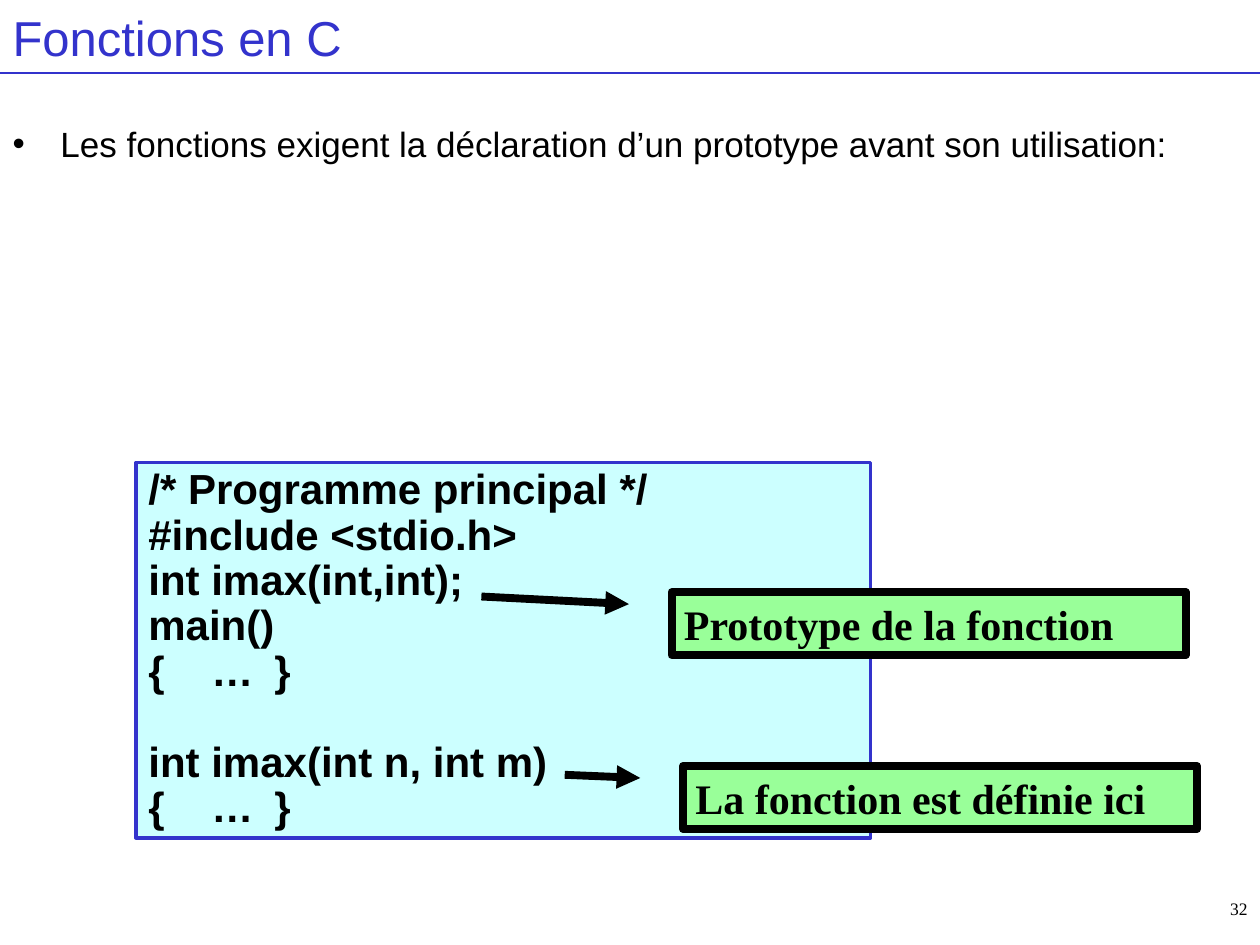
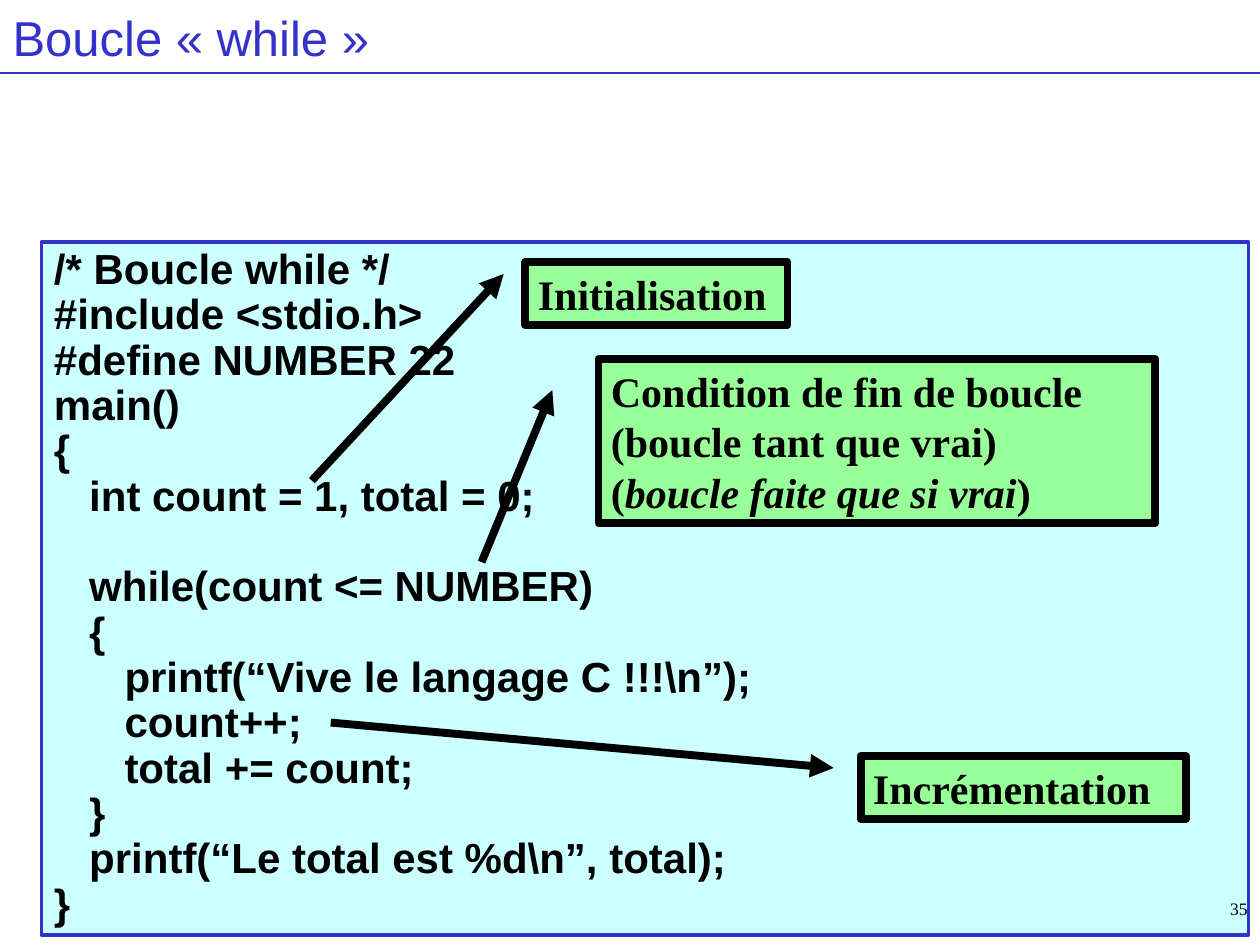
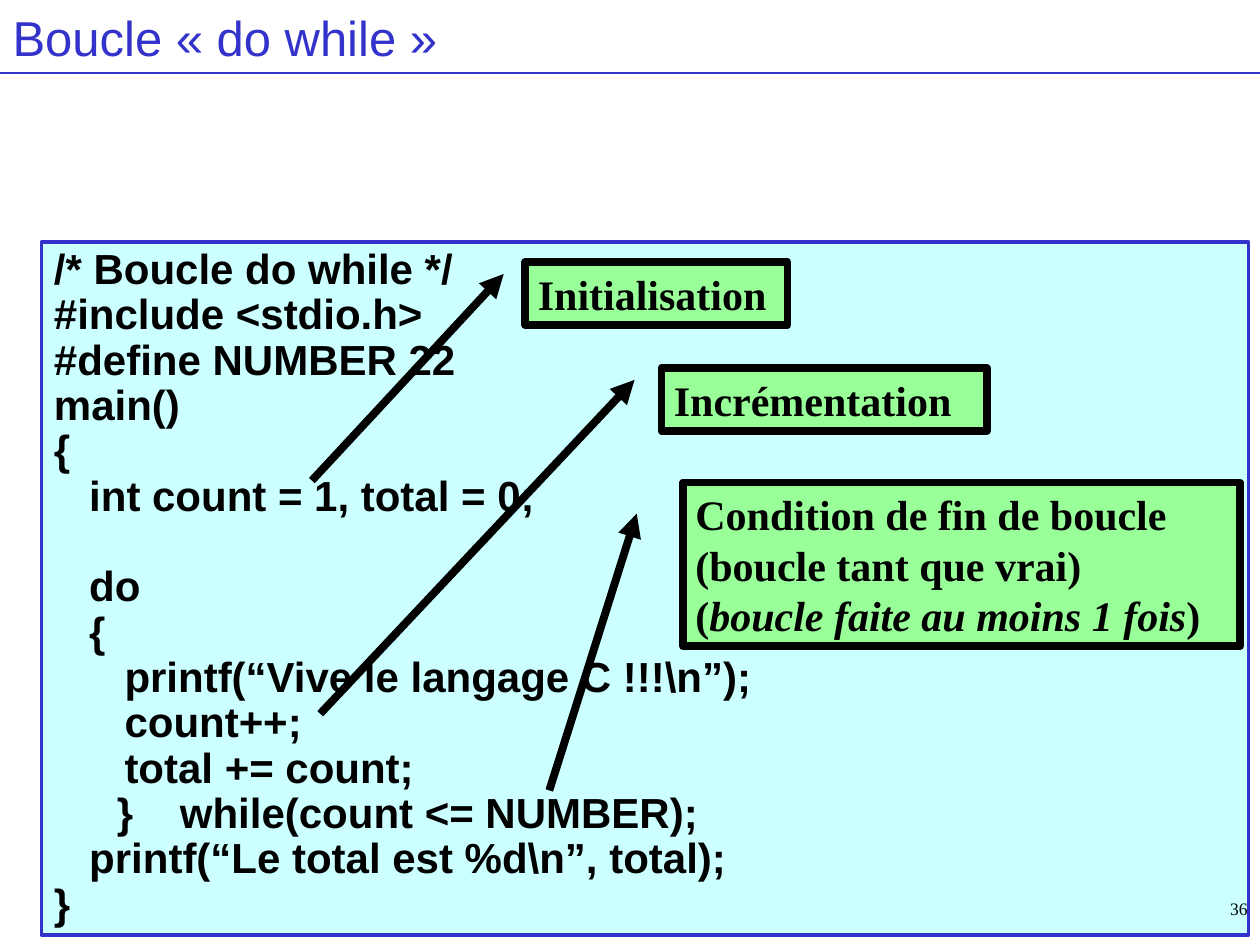
from dataclasses import dataclass

from lxml import etree
from pptx import Presentation
from pptx.dml.color import RGBColor
from pptx.enum.shapes import MSO_CONNECTOR, MSO_SHAPE
from pptx.enum.text import MSO_ANCHOR, MSO_AUTO_SIZE, PP_ALIGN
from pptx.oxml.ns import qn
from pptx.util import Inches, Pt

RECT, CALLOUT = MSO_SHAPE.RECTANGLE, MSO_SHAPE.LINE_CALLOUT_1
STRAIGHT = MSO_CONNECTOR.STRAIGHT
LEFT, RIGHT = PP_ALIGN.LEFT, PP_ALIGN.RIGHT
TOP, MIDDLE = MSO_ANCHOR.TOP, MSO_ANCHOR.MIDDLE
FIXED, GROW = MSO_AUTO_SIZE.NONE, MSO_AUTO_SIZE.SHAPE_TO_FIT_TEXT


@dataclass(frozen=True)
class Theme:
    """Colours, fonts and type sizes of the deck."""
    blue: str = "3333CC"
    cyan: str = "CCFFFF"
    green: str = "99FF99"
    black: str = "000000"
    sans: str = "Arial"
    serif: str = "Times New Roman"
    head: int = 28
    code: int = 24
    body: int = 20
    page: int = 10
    step: float = 0.28
    blank: int = 26


LOOK = Theme()
HEAD = (0, 0, 10, 0.58)
BODY = (0, 0.92, 10, 4.64)
PAGE = (7.92, 7.08, 2.08, 0.42)
PANEL = (0.33, 1.92, 9.58, 5.5)
TAIL = (0.19, -0.083)
BRACES = ("{\t…\t}", 0, (0.43, 1.02))


def inch(box):
    """Turn a box in inches into lengths."""
    return [Inches(side) for side in box]


def color(code):
    """Return the colour of a hex code."""
    return RGBColor.from_string(code)


def write(frame, lines, size, font=LOOK.sans, ink=LOOK.black, bold=False,
          align=LEFT, anchor=TOP, fit=FIXED, space=None):
    """Fill a frame; a line is text or a list whose odd parts are italic."""
    frame.word_wrap = True
    frame.auto_size = fit
    frame.vertical_anchor = anchor
    frame.margin_left = frame.margin_right = Inches(0.1)
    frame.margin_top = frame.margin_bottom = Inches(0.05)
    for num, line in enumerate(lines):
        para = frame.paragraphs[0] if num == 0 else frame.add_paragraph()
        para.alignment = align
        if space:
            para.line_spacing = space
        parts = [line] if isinstance(line, str) else line
        for spot, part in enumerate(parts):
            run = para.add_run()
            run.text = part
            run.font.name = font
            run.font.size = Pt(size)
            run.font.bold = bold
            run.font.italic = spot % 2 == 1
            run.font.color.rgb = color(ink)
    return frame.paragraphs


def place(shape, box):
    """Move a shape into a box."""
    shape.left, shape.top, shape.width, shape.height = inch(box)


def indent(para, left, first=0):
    """Set the left margin and first-line indent of a paragraph."""
    props = para._p.get_or_add_pPr()
    props.set("marL", str(Inches(left)))
    props.set("indent", str(Inches(first)))


def add_tabs(para, stops):
    """Give a paragraph left tab stops."""
    tabs = etree.SubElement(para._p.get_or_add_pPr(), qn("a:tabLst"))
    for stop in stops:
        etree.SubElement(tabs, qn("a:tab"), pos=str(Inches(stop)), algn="l")


def add_box(slide, kind, box, fill, edge, width):
    """Add a filled and outlined shape."""
    shape = slide.shapes.add_shape(kind, *inch(box))
    shape.shadow.inherit = False
    shape.fill.solid()
    shape.fill.fore_color.rgb = color(fill)
    shape.line.color.rgb = color(edge)
    shape.line.width = Pt(width)
    return shape


def add_head(slide, title, box=HEAD):
    """Set the title and the rule under it."""
    place(slide.shapes.title, box)
    write(slide.shapes.title.text_frame, [title], LOOK.head, ink=LOOK.blue,
          anchor=MIDDLE)
    left, top, width, height = box
    base = top + height
    rule = slide.shapes.add_connector(
        STRAIGHT, *inch((left, base, left + width, base)))
    rule.line.color.rgb = color(LOOK.blue)
    rule.line.width = Pt(0.75)
    etree.SubElement(rule._element.spPr, qn("a:effectLst"))


def add_list(slide, lines, box=BODY):
    """Fill the body placeholder with bullets."""
    body = slide.placeholders[1]
    place(body, box)
    for para in write(body.text_frame, lines, LOOK.body):
        para.space_before = Pt(5)
        indent(para, 0.38, -0.38)


def add_code(slide, lines, box):
    """Add a code panel; a line is text, depth and tabs, None is a gap."""
    panel = add_box(slide, RECT, box, LOOK.cyan, LOOK.blue, 2)
    rows = [line for line in lines if line]
    paras = write(panel.text_frame, [row[0] for row in rows], LOOK.code,
                  bold=True, fit=GROW, space=0.9)
    gaps = [num > 0 and lines[num - 1] is None
            for num, line in enumerate(lines) if line]
    for para, (_, depth, stops), gap in zip(paras, rows, gaps):
        indent(para, depth * LOOK.step)
        if gap:
            para.space_before = Pt(LOOK.blank)
        if stops:
            add_tabs(para, stops)


def add_note(slide, lines, box, aim):
    """Add a callout whose line runs from its box to the aim."""
    note = add_box(slide, CALLOUT, box, LOOK.green, LOOK.black, 4.5)
    for num, value in enumerate(TAIL + aim):
        note.adjustments[num] = value
    etree.SubElement(note.line._get_or_add_ln(), qn("a:headEnd"),
                     type="triangle")
    write(note.text_frame, lines, LOOK.code, font=LOOK.serif, bold=True,
          fit=GROW)


def add_page(slide, num, box=PAGE):
    """Add the page number."""
    area = slide.shapes.add_textbox(*inch(box))
    write(area.text_frame, [str(num)], LOOK.page, font=LOOK.serif, align=RIGHT)


def code(*texts, depth=0):
    """Make code lines of one depth."""
    return [(text, depth, ()) for text in texts]


def build(deck, title, lines, box, notes, num, points=()):
    """Build a slide with a code panel and callouts."""
    slide = deck.slides.add_slide(deck.slide_layouts[1 if points else 5])
    add_head(slide, title)
    if points:
        add_list(slide, points)
    add_code(slide, lines, box)
    for note in notes:
        add_note(slide, *note)
    add_page(slide, num)


def loop(name, start, end):
    """Return the code of a loop program."""
    return [
        *code(f"/* Boucle {name} */", "#include <stdio.h>",
              "#define NUMBER 22", "main()", "{"),
        *code("int count = 1, total = 0;", depth=1),
        None,
        *code(start, "{", depth=1),
        *code("printf(“Vive le langage C !!!\\n”);", "count++;",
              "total += count;", depth=2),
        end,
        *code("printf(“Le total est %d\\n”, total);", depth=1),
        *code("}"),
    ]


def rule(text):
    """Return the lines of a loop condition."""
    return ["Condition de fin de boucle (boucle tant que vrai)",
            ["(", text, ")"]]


def main():
    """Build and save the deck."""
    deck = Presentation()
    deck.slide_width, deck.slide_height = Inches(10), Inches(7.5)
    start = (["Initialisation"], (4.17, 2.08, 2.08, 0.5), (3.47, -0.815))
    proto = [
        *code("/* Programme principal */", "#include <stdio.h>",
              "int imax(int,int);", "main()"),
        BRACES, None, *code("int imax(int n, int m)"), BRACES,
    ]
    build(deck, "Fonctions en C", proto, (1.08, 3.67, 5.83, 2.98), [
        (["Prototype de la fonction"], (5.33, 4.7, 4.08, 0.5), (0.07, -0.37)),
        (["La fonction est définie ici"], (5.42, 6.08, 4.08, 0.5),
         (0.14, -0.23)),
    ], 32, ["Les fonctions exigent la déclaration d’un prototype "
            "avant son utilisation:"])
    build(deck, "Boucle « while »",
          loop("while", "while(count <= NUMBER)", ("}", 1, ())), PANEL, [
              start,
              (rule("boucle faite que si vrai"), (4.75, 2.85, 4.42, 1.3),
               (1.24, -0.21)),
              (["Incrémentation"], (6.83, 6, 2.58, 0.5), (-0.53, -1.63)),
          ], 35)
    build(deck, "Boucle « do while »",
          loop("do while", "do",
               ("\t}\twhile(count <= NUMBER);", 0, (0.28, 0.59))), PANEL, [
              start,
              (["Incrémentation"], (5.25, 2.92, 2.58, 0.5), (5.49, -1.05)),
              (rule("boucle faite au moins 1 fois"), (5.42, 3.83, 4.42, 1.3),
               (1.88, -0.24)),
          ], 36)
    deck.save("out.pptx")


if __name__ == "__main__":
    main()
